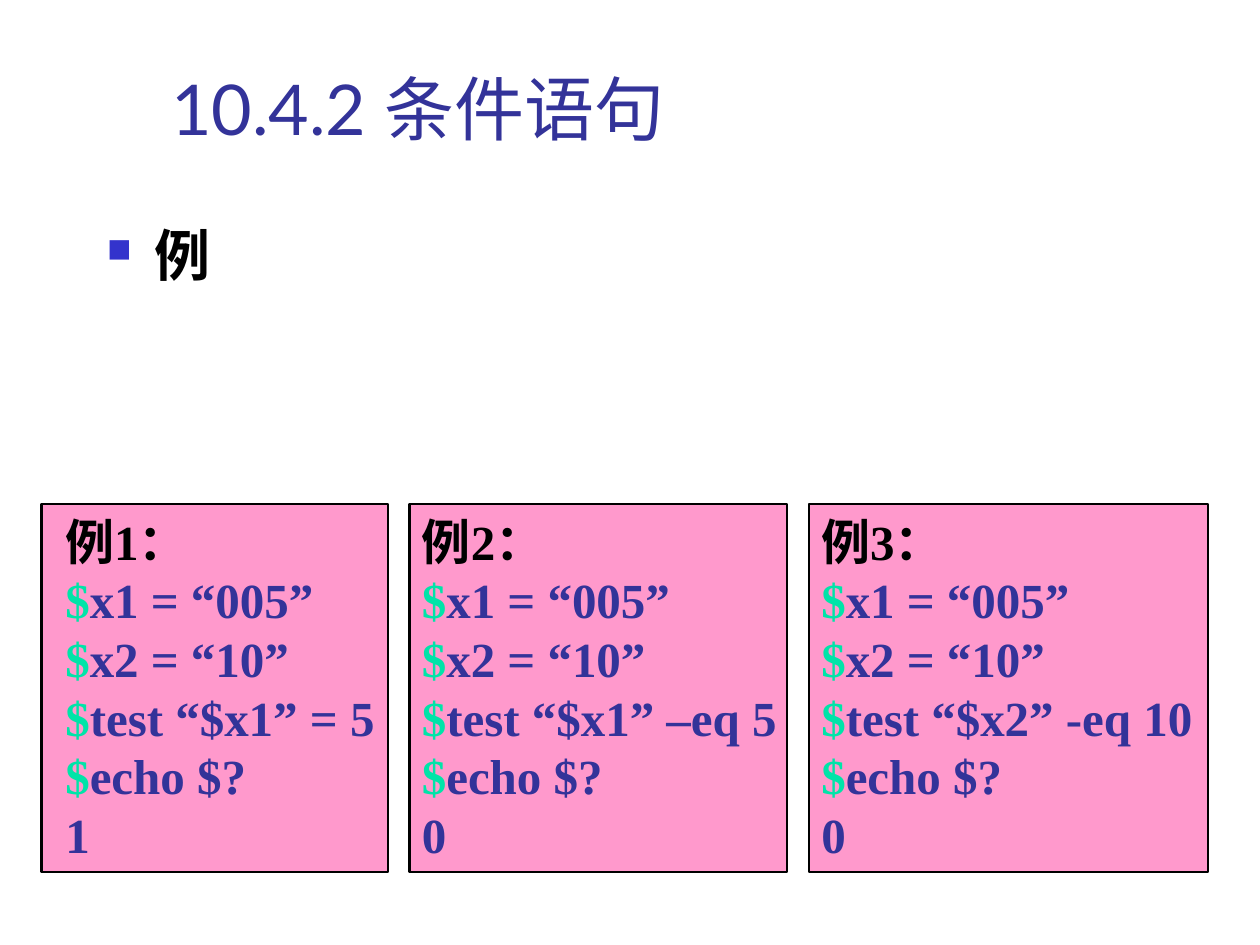
from typing import NamedTuple

from lxml import etree
from pptx import Presentation
from pptx.dml.color import RGBColor
from pptx.enum.shapes import MSO_SHAPE
from pptx.enum.text import MSO_ANCHOR, MSO_AUTO_SIZE
from pptx.oxml.ns import qn
from pptx.util import Inches, Pt

RECT = MSO_SHAPE.RECTANGLE
TOP, BOTTOM = MSO_ANCHOR.TOP, MSO_ANCHOR.BOTTOM
GROW = MSO_AUTO_SIZE.SHAPE_TO_FIT_TEXT
BLACK, NAVY, BLUE = "000000", "333399", "3333CC"
GREEN, PINK = "00E4A8", "FF99CC"
SANS, SERIF = "Lato", "Times New Roman"


class Case(NamedTuple):
    """One example panel: its frame, its text box and what differs in it."""
    left: float
    width: float
    text_left: float
    text_width: float
    head: str
    test: str
    code: str


CASES = [
    Case(0.33, 2.75, 0.42, 2.75, "例1：", "test “$x1” = 5", "1"),
    Case(3.25, 3, 3.25, 3.08, "例2：", "test “$x1” –eq 5", "0"),
    Case(6.42, 3.17, 6.42, 3.25, "例3：", "test “$x2” -eq 10", "0"),
]


def rgb(tone: str) -> RGBColor:
    """Turn a hex string into a colour."""
    return RGBColor.from_string(tone)


def add_box(slide, left: float, top: float, width: float, height: float, anchor):
    """Add a wrapping text box and return its text frame."""
    box = slide.shapes.add_textbox(
        Inches(left), Inches(top), Inches(width), Inches(height))
    frame = box.text_frame
    frame.word_wrap = True
    frame.vertical_anchor = anchor
    return frame


def style(run, size: float, face: str, tone: str, bold: bool = False) -> None:
    """Set the font of a run."""
    font = run.font
    font.size, font.name, font.bold = Pt(size), face, bold
    font.color.rgb = rgb(tone)


def add_bullet(para, mark: str, tone: str, scale: int, indent: float) -> None:
    """Give a paragraph a coloured bullet and a hanging indent."""
    props = para._p.get_or_add_pPr()
    props.set("marL", str(Inches(indent)))
    props.set("indent", str(-Inches(indent)))
    fill = etree.SubElement(props, qn("a:buClr"))
    etree.SubElement(fill, qn("a:srgbClr"), val=tone)
    etree.SubElement(props, qn("a:buSzPct"), val=str(scale * 1000))
    etree.SubElement(props, qn("a:buChar"), char=mark)


def add_frame(slide, case: Case) -> None:
    """Draw the pink panel behind an example."""
    panel = slide.shapes.add_shape(
        RECT, Inches(case.left), Inches(4), Inches(case.width), Inches(2.92))
    panel.shadow.inherit = False
    panel.fill.solid()
    panel.fill.fore_color.rgb = rgb(PINK)
    panel.line.color.rgb = rgb(BLACK)
    panel.line.width = Pt(1.25)


def add_case(slide, case: Case) -> None:
    """Write the shell session of an example."""
    frame = add_box(slide, case.text_left, 4, case.text_width, 2.9, BOTTOM)
    frame.auto_size = GROW
    lines = ["x1 = “005”", "x2 = “10”", case.test, "echo $?"]
    rows = [[(case.head, BLACK)]]
    rows += [[("$", GREEN), (line, NAVY)] for line in lines]
    rows.append([(case.code, NAVY)])
    frame.text = "\n".join([""] * len(rows))
    for para, row in zip(frame.paragraphs, rows):
        para.line_spacing = Pt(33.5)
        for text, tone in row:
            run = para.add_run()
            run.text = text
            style(run, 28, SERIF, tone, True)


def main() -> None:
    """Build the slide and save it."""
    deck = Presentation()
    deck.slide_width, deck.slide_height = Inches(10), Inches(7.5)
    slide = deck.slides.add_slide(deck.slide_layouts[6])

    title = add_box(slide, 1.26, 0.58, 7.57, 0.66, BOTTOM).paragraphs[0]
    title.text = "10.4.2 条件语句"
    style(title.runs[0], 40, SANS, NAVY)

    point = add_box(slide, 0.75, 1.7, 8.92, 1.42, TOP).paragraphs[0]
    point.text = "例"
    add_bullet(point, "■", BLUE, 60, 0.38)
    style(point.runs[0], 32, SANS, BLACK, True)

    for case in CASES:
        add_frame(slide, case)
        add_case(slide, case)
    deck.save("out.pptx")


if __name__ == "__main__":
    main()
